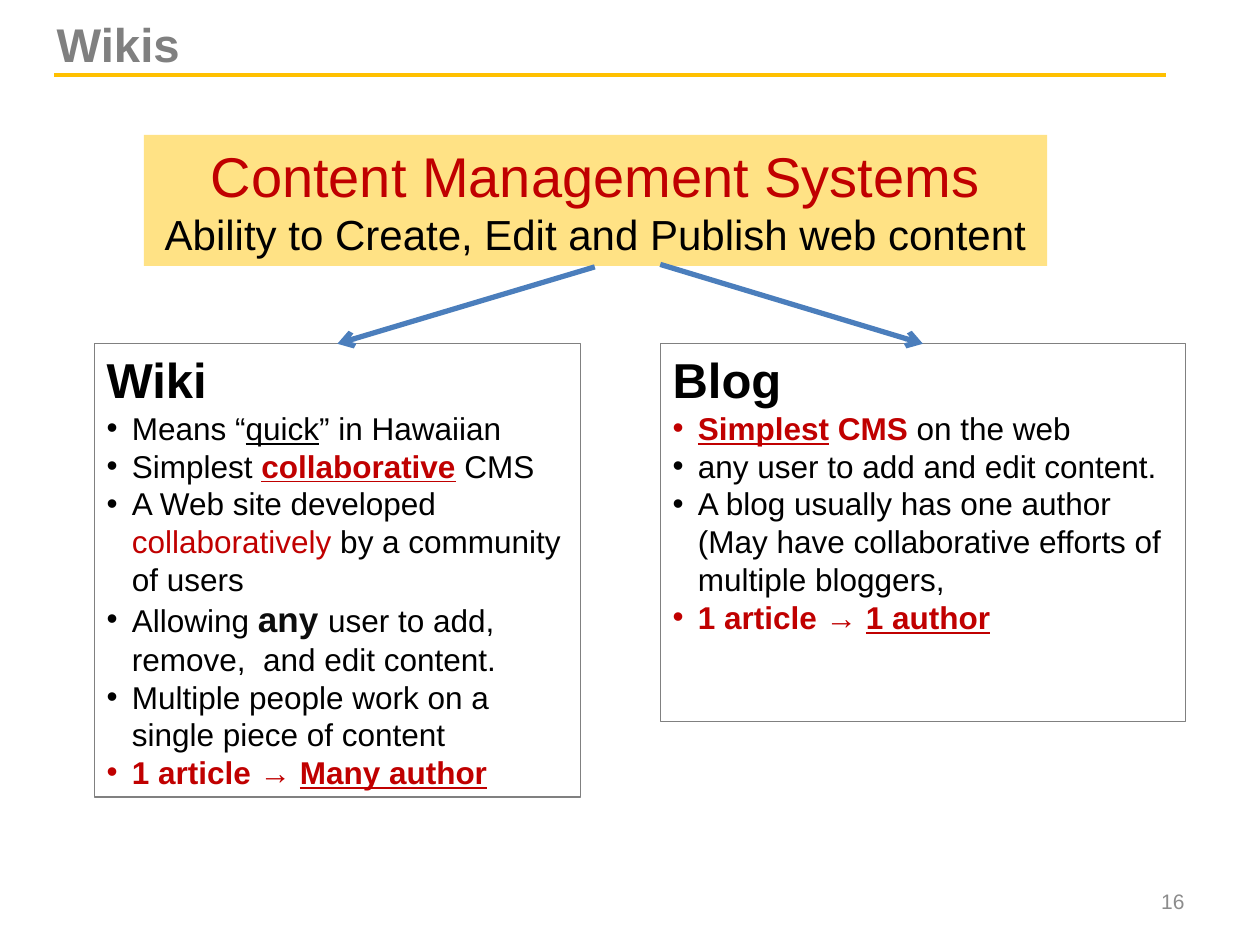
from dataclasses import dataclass

from lxml import etree
from pptx import Presentation
from pptx import util as u
from pptx.dml.color import RGBColor
from pptx.enum import shapes, text
from pptx.oxml.ns import qn

COLORS = {
    "black": "000000", "ink": "0D0D0D", "red": "C00000", "gray": "808080",
    "number": "8C8C8C", "gold": "FFC000", "cream": "FFE285", "blue": "4B7EBC",
}
FONT = "Arial"
BULLET_INDENT = u.Cm(0.51)


@dataclass
class Box:
    left: float
    top: float
    width: float
    height: float

    def lengths(self) -> list:
        return [u.Cm(n) for n in (self.left, self.top, self.width, self.height)]

    @property
    def center_x(self) -> float:
        return self.left + self.width / 2


@dataclass
class Run:
    words: str
    size: float = 18
    color: str = "black"
    bold: bool = False
    underline: bool = False


@dataclass
class Panel:
    box: Box
    heading: str
    bullets: list
    arrow_start: tuple


def red(words: str, underline: bool = False, bold: bool = True) -> Run:
    return Run(words, color="red", bold=bold, underline=underline)


def rgb(name: str) -> RGBColor:
    return RGBColor.from_string(COLORS[name])


def add_runs(paragraph, runs: list) -> None:
    for item in runs:
        for index, line in enumerate(item.words.split("\n")):
            if index:
                paragraph.add_line_break()
            run = paragraph.add_run()
            run.text = line
            run.font.name = FONT
            run.font.size = u.Pt(item.size)
            run.font.bold = item.bold
            run.font.underline = item.underline
            run.font.color.rgb = rgb(item.color)


def add_bullet(paragraph) -> None:
    properties = paragraph._p.get_or_add_pPr()
    properties.set("marL", str(BULLET_INDENT))
    properties.set("indent", str(-BULLET_INDENT))
    etree.SubElement(properties, qn("a:buFont"), typeface=FONT)
    etree.SubElement(properties, qn("a:buChar"), char="•")


def add_rectangle(slide, box: Box, fill: str = "", line: str = ""):
    shape = slide.shapes.add_shape(shapes.MSO_SHAPE.RECTANGLE, *box.lengths())
    shape.shadow.inherit = False
    if fill:
        shape.fill.solid()
        shape.fill.fore_color.rgb = rgb(fill)
    else:
        shape.fill.background()
    if line:
        shape.line.color.rgb = rgb(line)
        shape.line.width = u.Pt(0.75)
    else:
        shape.line.fill.background()
    shape.text_frame.word_wrap = True
    shape.text_frame.vertical_anchor = text.MSO_ANCHOR.TOP
    return shape


def add_line(slide, start: tuple, end: tuple, color: str, width: float,
             arrow: bool = False) -> None:
    connector = slide.shapes.add_connector(
        shapes.MSO_CONNECTOR.STRAIGHT, *[u.Cm(n) for n in start + end])
    connector.line.color.rgb = rgb(color)
    connector.line.width = u.Pt(width)
    if arrow:
        etree.SubElement(connector.line._get_or_add_ln(), qn("a:tailEnd"), type="arrow")
    etree.SubElement(connector._element.spPr, qn("a:effectLst"))


def add_panel(slide, panel: Panel) -> None:
    frame = add_rectangle(slide, panel.box, line="gray").text_frame
    frame.paragraphs[0].alignment = text.PP_ALIGN.LEFT
    add_runs(frame.paragraphs[0], [Run(panel.heading, size=28, bold=True)])
    for runs in panel.bullets:
        paragraph = frame.add_paragraph()
        paragraph.alignment = text.PP_ALIGN.LEFT
        add_bullet(paragraph)
        add_runs(paragraph, runs)
    add_line(slide, panel.arrow_start, (panel.box.center_x, panel.box.top),
             "blue", 3, arrow=True)


PANELS = [
    Panel(Box(1.9, 6.93, 9.8, 9.14), "Wiki", [
        [Run("Means “"), Run("quick", underline=True), Run("” in Hawaiian")],
        [Run("Simplest "), red("collaborative", underline=True), Run(" CMS")],
        [Run("A Web site developed "), red("collaboratively ", bold=False),
         Run("by a community of users")],
        [Run("Allowing "), Run("any ", size=20, color="ink", bold=True),
         Run("user to add, remove,  and edit content.")],
        [Run("Multiple people work on a single piece of content")],
        [red("1 article → "), red("Many author", underline=True)],
    ], (11.99, 5.38)),
    Panel(Box(13.31, 6.93, 10.59, 7.62), "Blog", [
        [red("Simplest", underline=True), red(" CMS "), Run("on the web")],
        [Run("any user to add and edit content.")],
        [Run("A blog usually has one author\n"
             "(May have collaborative efforts of multiple bloggers,")],
        [red("1 article → "), red("1 author", underline=True)],
    ], (13.31, 5.33)),
]


def main() -> None:
    presentation = Presentation()
    presentation.slide_width, presentation.slide_height = u.Cm(25.4), u.Cm(19.05)
    slide = presentation.slides.add_slide(presentation.slide_layouts[5])

    # Title and rule
    title = slide.shapes.title
    title.left, title.top, title.width, title.height = Box(0.89, 0, 22.86, 1.75).lengths()
    title.text_frame.vertical_anchor = text.MSO_ANCHOR.MIDDLE
    title.text_frame.paragraphs[0].alignment = text.PP_ALIGN.LEFT
    add_runs(title.text_frame.paragraphs[0], [Run("Wikis", 27, "gray", bold=True)])
    add_line(slide, (1.09, 1.52), (23.5, 1.52), "gold", 2.25)

    # Banner
    banner = add_rectangle(slide, Box(2.9, 2.72, 18.21, 2.64), fill="cream").text_frame
    add_runs(banner.paragraphs[0], [Run("Content Management Systems", 32, "red")])
    add_runs(banner.add_paragraph(),
             [Run("Ability to Create, Edit and Publish web content", 24)])
    for paragraph in banner.paragraphs:
        paragraph.alignment = text.PP_ALIGN.CENTER

    # Compared systems, each with its arrow
    for panel in PANELS:
        add_panel(slide, panel)

    # Slide number
    number = slide.shapes.add_textbox(*Box(18.21, 17.65, 5.92, 1.02).lengths()).text_frame
    number.word_wrap = True
    number.vertical_anchor = text.MSO_ANCHOR.MIDDLE
    number.paragraphs[0].alignment = text.PP_ALIGN.RIGHT
    add_runs(number.paragraphs[0], [Run("16", 12, "number")])

    presentation.save("out.pptx")


if __name__ == "__main__":
    main()
